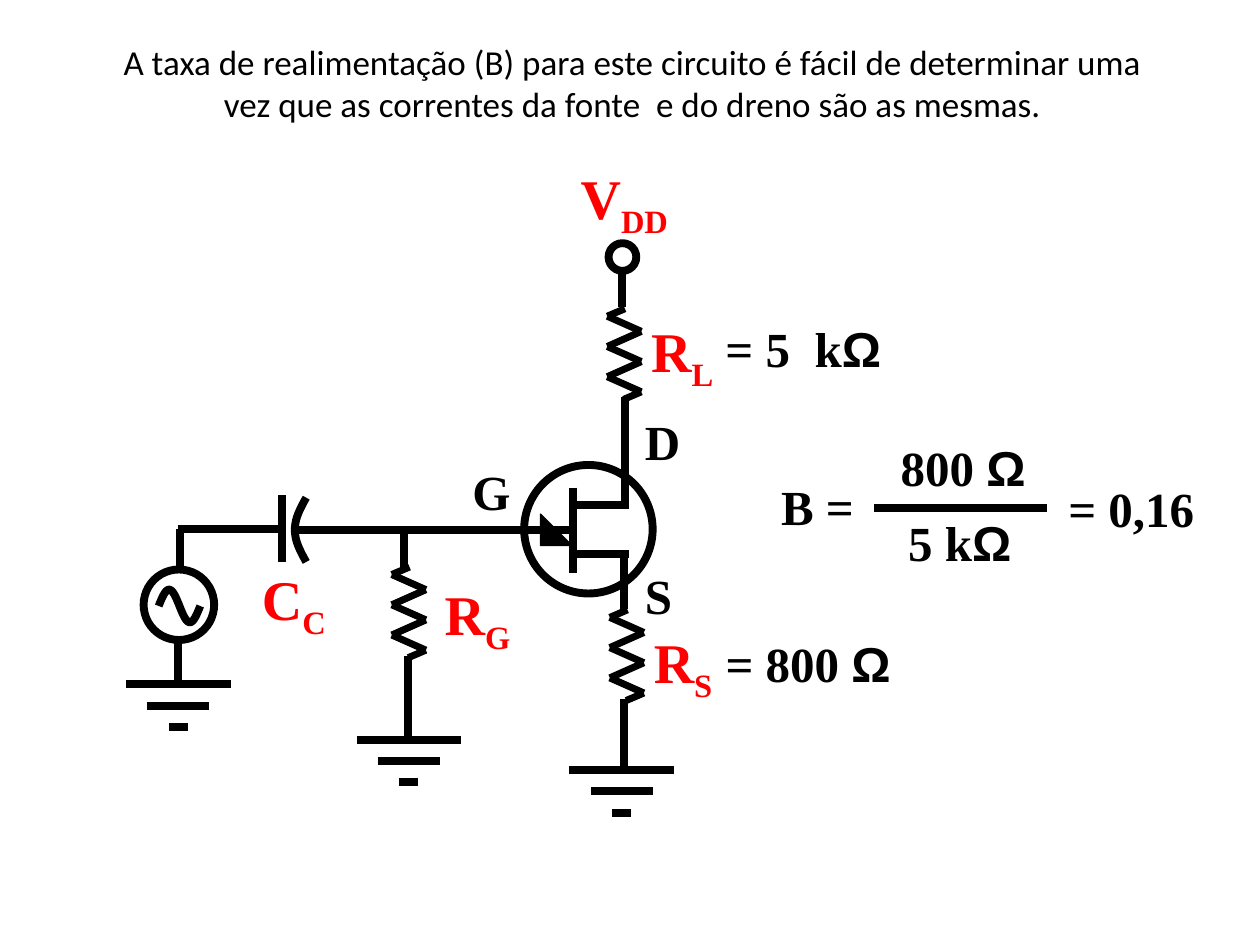
from itertools import pairwise
from math import pi, sin

from lxml.etree import SubElement
from pptx import Presentation
from pptx.dml.color import RGBColor
from pptx.enum.shapes import MSO_CONNECTOR, MSO_SHAPE
from pptx.enum.text import MSO_AUTO_SIZE, PP_ALIGN
from pptx.oxml.ns import qn
from pptx.util import Pt

PX = 9144  # 100 px to the inch
BLACK, RED = "000000", "FF0000"
SERIF, SANS, BODY = "Times New Roman", "Arial", "Calibri"


def color(target, value):
    target.rgb = RGBColor.from_string(value)


def wire(shapes, x1, y1, x2, y2, width=4.5):
    ends = [v * PX for v in (x1, y1, x2, y2)]
    cn = shapes.add_connector(MSO_CONNECTOR.STRAIGHT, *ends)
    color(cn.line.color, BLACK)
    cn.line.width = Pt(width)
    SubElement(cn._element.spPr, qn("a:effectLst"))


def outline(sp, width=4.5):
    sp.shadow.inherit = False
    sp.fill.background()
    color(sp.line.color, BLACK)
    sp.line.width = Pt(width)


def circle(shapes, x, y, d):
    outline(shapes.add_shape(MSO_SHAPE.OVAL, x * PX, y * PX, d * PX, d * PX))


def curve(shapes, points):
    (x0, y0), *rest = [(x * PX, y * PX) for x, y in points]
    fb = shapes.build_freeform(x0, y0)
    fb.add_line_segments(rest, close=False)
    outline(fb.convert_to_shape())


def text_box(s, x, y, w, h, wrap=False):
    tf = s.shapes.add_textbox(x * PX, y * PX, w * PX, h * PX).text_frame
    tf.word_wrap = wrap
    tf.auto_size = MSO_AUTO_SIZE.SHAPE_TO_FIT_TEXT
    return tf.paragraphs[0]


def value(s, x, y, w, text, ohm=False):
    p = text_box(s, x, y, w, 52)
    p.font.size, p.font.bold = Pt(28), True
    color(p.font.color, BLACK)
    for part, font in [(text, SERIF)] + [("Ω", SANS)] * ohm:
        r = p.add_run()
        r.text, r.font.name = part, font


def symbol(s, x, y, w, letter, sub):
    p = text_box(s, x, y, w, 58)
    p.font.name, p.font.size, p.font.bold = SERIF, Pt(32), True
    color(p.font.color, RED)
    p.add_run().text = letter
    r = p.add_run()
    r.text = sub
    r.font._element.set("baseline", "-25000")


# Circuit components, each placed from its top left corner
def resistor(s, x, y):
    shapes = s.shapes.add_group_shape().shapes
    zigzag = [(27 * (i % 2), 6 + 12 * i) for i in range(6)]
    for (x1, y1), (x2, y2) in pairwise([(14, 0), *zigzag, (13, 72)]):
        wire(shapes, x + x1, y + y1, x + x2, y + y2, 4)


def ground(s, x, y):
    shapes = s.shapes.add_group_shape().shapes
    for i in range(3):
        wire(shapes, x + 17 * i, y + 17 * i, x + 83 - 17 * i, y + 17 * i)


def capacitor(s, x, y):
    shapes = s.shapes.add_group_shape().shapes
    wire(shapes, x, y, x, y + 53)
    curve(shapes, [(x + 19 - 9 * sin(pi * i / 20), y + 2 + 51 * i / 20)
                   for i in range(21)])


def ac_source(s, x, y):
    shapes = s.shapes.add_group_shape().shapes
    circle(shapes, x, y, 56)
    curve(shapes, [(x + 12 + 33 * i / 40, y + 29 - 13 * sin(2 * pi * i / 40))
                   for i in range(41)])


def jfet(s, x, y):
    circle(s.shapes, x, y, 102)
    arrow = s.shapes.add_shape(MSO_SHAPE.ISOSCELES_TRIANGLE,
                               (x + 13) * PX, (y + 39) * PX, 25 * PX, 25 * PX)
    arrow.adjustments[0] = 1
    arrow.rotation = 90
    outline(arrow, 0.75)
    arrow.fill.solid()
    color(arrow.fill.fore_color, BLACK)
    # Channel, gate, drain and source leads
    for x1, y1, x2, y2 in [(39, 18, 39, 86), (38, 52, -181, 52),
                           (40, 32, 83, 32), (80, 30, 80, -54),
                           (40, 71, 83, 71), (79, 71, 79, 114)]:
        wire(s.shapes, x + x1, y + y1, x + x2, y + y2)
    for dx, dy, w, name in [(86, -47, 48, "D"), (86, 75, 42, "S"),
                            (-51, -8, 50, "G")]:
        value(s, x + dx, y + dy, w, name)


# Regions of the slide
def title(s, x, y, w, h):
    p = text_box(s, x, y, w, h, wrap=True)
    p.text = ("A taxa de realimentação (B) para este circuito é fácil de determinar "
              "uma vez que as correntes da fonte  e do dreno são as mesmas.")
    p.alignment = PP_ALIGN.CENTER
    p.font.name, p.font.size = BODY, Pt(20)
    color(p.font.color, BLACK)


def amplifier(s, x, y):
    jfet(s, x + 316, y + 244)
    ac_source(s, x + 14, y + 327)
    capacitor(s, x + 124, y + 268)
    circle(s.shapes, x + 383, y + 68, 22)
    for dx, dy in [(211, 325), (382, 120), (384, 359)]:
        resistor(s, x + dx, y + dy)
    for dx, dy in [(0, 418), (183, 462), (352, 486)]:
        ground(s, x + dx, y + dy)
    # Wires between the components
    for x1, y1, x2, y2 in [(394, 91, 394, 119), (395, 430, 395, 484),
                           (224, 396, 224, 461), (221, 296, 221, 327),
                           (124, 295, 41, 295), (43, 295, 43, 325),
                           (41, 385, 41, 415)]:
        wire(s.shapes, x + x1, y + y1, x + x2, y + y2)
    for dx, dy, w, letter, sub in [(351, 0, 102, "V", "DD"), (243, 330, 75, "R", "G"),
                                   (98, 318, 74, "C", "C"), (407, 121, 79, "R", "L"),
                                   (409, 368, 69, "R", "S")]:
        symbol(s, x + dx, y + dy, w, letter, sub)
    value(s, x + 466, y + 123, 144, "= 5  k", ohm=True)
    value(s, x + 466, y + 373, 152, "= 800 ", ohm=True)


def feedback_equation(s, x, y):
    value(s, x, y + 31, 88, "B =")
    value(s, x + 95, y, 120, "800 ", ohm=True)
    wire(s.shapes, x + 84, y + 61, x + 221, y + 61)
    value(s, x + 101, y + 60, 103, "5 k", ohm=True)
    value(s, x + 228, y + 33, 121, "= 0,16")


def main():
    prs = Presentation()
    prs.slide_width, prs.slide_height = 1000 * PX, 750 * PX
    s = prs.slides.add_slide(prs.slide_layouts[6])
    title(s, 73, 27, 858, 77)
    amplifier(s, 100, 125)
    feedback_equation(s, 610, 342)
    prs.save("out.pptx")


if __name__ == "__main__":
    main()
